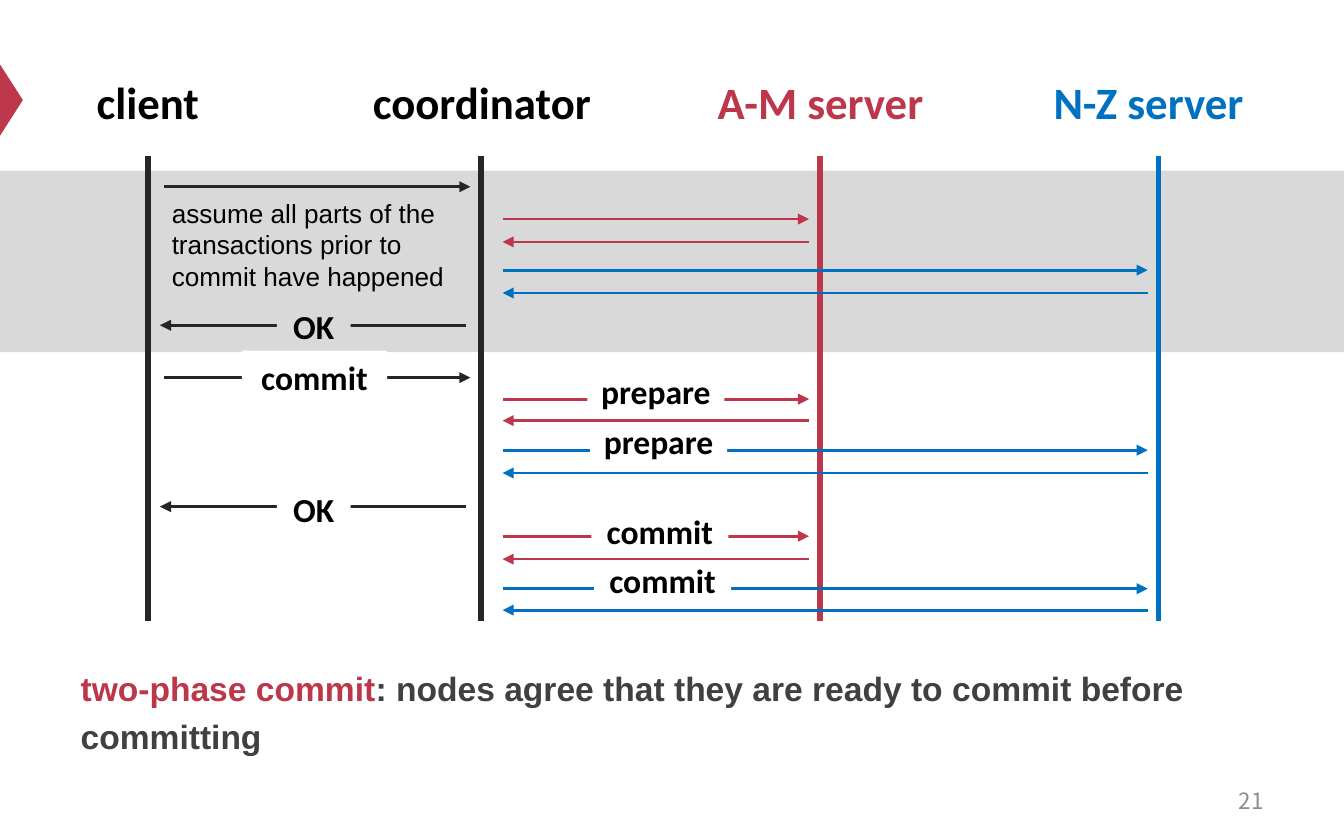
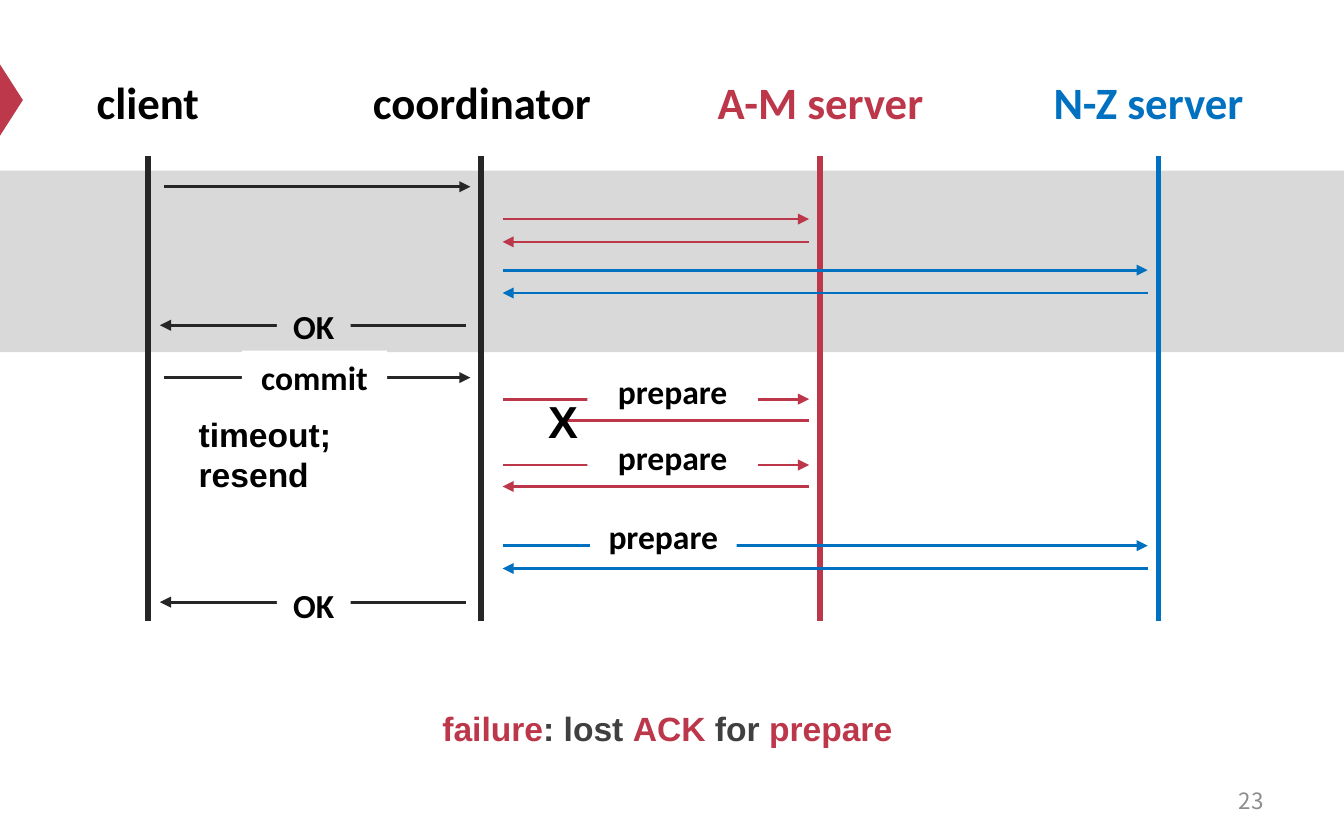
from lxml import etree
from pptx import Presentation
from pptx import util as u
from pptx.dml.color import RGBColor
from pptx.enum import shapes, text
from pptx.oxml.ns import qn

COLORS = {"dark": "262626", "red": "BD374B", "blue": "0070C0", "black": "000000",
          "body": "404040", "band": "D9D9D9", "white": "FFFFFF",
          "marker": "BE384B", "number": "8C8C8C"}
CENTER, LEFT, RIGHT = text.PP_ALIGN.CENTER, text.PP_ALIGN.LEFT, text.PP_ALIGN.RIGHT

# lifelines: name, colour of name, colour of line, x of line, text left, text width
ACTORS = [("client", "black", "dark", 1.1, 0.51, 1.18),
          ("coordinator", "black", "dark", 3.58, 2.56, 2.05),
          ("A-M server", "red", "red", 6.1, 5.08, 2.05),
          ("N-Z server", "blue", "blue", 8.62, 7.52, 2.05)]
LANES = {"request": (1.22, 3.5, "dark"), "answer": (1.19, 3.47, "dark"),
         "A-M": (3.74, 6.02, "red"), "N-Z": (3.74, 8.54, "blue"),
         "lost": (4.21, 6.02, "red")}

# messages: lane, arrowhead end, y, label (text, left, top, width, fill)
BEFORE_COMMIT = [
    ("request", "tailEnd", 1.39, None),
    ("A-M", "tailEnd", 1.63, None),
    ("A-M", "headEnd", 1.8, None),
    ("N-Z", "tailEnd", 2.01, None),
    ("N-Z", "headEnd", 2.18, None),
    ("answer", "headEnd", 2.42, ("OK", 2.06, 2.23, 0.55, "band")),
    ("request", "tailEnd", 2.81, ("commit", 1.8, 2.61, 1.08, "white")),
]
SLIDES = [
    {"number": "21",
     "caption": [("two-phase commit", "red"),
                 (": nodes agree that they are ready to commit before committing", "body")],
     "caption_format": (4.86, 1.18, LEFT, 12, 1.2),
     "messages": [
         ("A-M", "tailEnd", 2.97, ("prepare", 4.37, 2.71, 1.02, "white")),
         ("N-Z", "tailEnd", 3.35, ("prepare", 4.39, 3.08, 1.02, "white")),
         ("A-M", "headEnd", 3.13, None),
         ("N-Z", "headEnd", 3.52, None),
         ("answer", "headEnd", 3.77, ("OK", 2.06, 3.59, 0.55, "white")),
         ("A-M", "tailEnd", 3.99, ("commit", 4.4, 3.75, 1.02, "white")),
         ("N-Z", "tailEnd", 4.38, ("commit", 4.42, 4.12, 1.02, "white")),
         ("A-M", "headEnd", 4.16, None),
         ("N-Z", "headEnd", 4.54, None)],
     # notes: text, box, size, bold, wrap
     "notes": [("assume all parts of the transactions prior to\ncommit have happened",
                (1.18, 1.42, 2.4, 0.81), 14, False, True)]},
    {"number": "23",
     "caption": [("failure", "red"), (": lost ", "body"), ("ACK ", "red"),
                 ("for ", "body"), ("prepare ", "red")],
     "caption_format": (5.22, 0.68, CENTER, 13.7, 1.0),
     "messages": [
         ("A-M", "tailEnd", 2.97, ("prepare", 4.37, 2.71, 1.27, "white")),
         ("lost", None, 3.13, None),
         ("A-M", "tailEnd", 3.46, ("prepare", 4.37, 3.2, 1.27, "white")),
         ("A-M", "headEnd", 3.62, None),
         ("N-Z", "tailEnd", 4.06, ("prepare", 4.39, 3.79, 1.09, "white")),
         ("N-Z", "headEnd", 4.23, None),
         ("answer", "headEnd", 4.48, ("OK", 2.06, 4.3, 0.55, "white"))],
     "notes": [("timeout; resend", (1.38, 3.03, 1.9, 0.4), 18, True, True),
               ("X", (3.98, 2.88, 0.52, 0.5), 24, True, False)]},
]


def add_text(s, words, box, size, color="black", font="Calibri", bold=True,
             align=CENTER, fill=None, wrap=True):
    tb = s.shapes.add_textbox(*map(u.Inches, box))
    if fill:
        tb.fill.solid()
        tb.fill.fore_color.rgb = RGBColor.from_string(COLORS[fill])
    tf = tb.text_frame
    tf.text = words
    tf.word_wrap = wrap
    tf.auto_size = text.MSO_AUTO_SIZE.SHAPE_TO_FIT_TEXT
    for p in tf.paragraphs:
        p.alignment = align
        f = p.runs[0].font
        f.size, f.name, f.bold = u.Pt(size), font, bold
        f.color.rgb = RGBColor.from_string(COLORS[color])
    return tf


def add_line(s, x1, y1, x2, y2, color, width, arrow=None):
    """Draw a line; arrow is None or the end with a head, headEnd or tailEnd."""
    c = s.shapes.add_connector(shapes.MSO_CONNECTOR.STRAIGHT,
                               *map(u.Inches, (x1, y1, x2, y2)))
    c.line.color.rgb = RGBColor.from_string(COLORS[color])
    c.line.width = u.Pt(width)
    spPr = c._element.spPr
    if arrow:
        etree.SubElement(spPr.find(qn("a:ln")), qn("a:" + arrow), type="triangle")
    etree.SubElement(spPr, qn("a:effectLst"))


prs = Presentation()
prs.slide_width, prs.slide_height = u.Inches(10), u.Inches(6.25)

for content in SLIDES:
    s = prs.slides.add_slide(prs.slide_layouts[1])
    title = s.shapes.title._element
    title.getparent().remove(title)

    # caption
    top, height, align, before, spacing = content["caption_format"]
    body = s.placeholders[1]
    body.left, body.top = u.Inches(0.5), u.Inches(top)
    body.width, body.height = u.Inches(9), u.Inches(height)
    tf = body.text_frame
    tf.auto_size = text.MSO_AUTO_SIZE.NONE
    tf.vertical_anchor = text.MSO_ANCHOR.TOP
    p = tf.paragraphs[0]
    p.alignment, p.space_before, p.line_spacing = align, u.Pt(before), spacing
    pPr = p._p.get_or_add_pPr()
    pPr.set("marL", "0")
    pPr.set("indent", "0")
    etree.SubElement(pPr, qn("a:buNone"))
    for words, color in content["caption"]:
        r = p.add_run()
        r.text = words
        r.font.size, r.font.name, r.font.bold = u.Pt(18), "Arial", True
        r.font.color.rgb = RGBColor.from_string(COLORS[color])

    # edge marker and band behind the steps before commit
    for kind, box, color, rotation in [
            (shapes.MSO_SHAPE.ISOSCELES_TRIANGLE, (-0.18, 0.66, 0.53, 0.17), "marker", 90),
            (shapes.MSO_SHAPE.RECTANGLE, (0, 1.27, 10, 1.35), "band", 0)]:
        sp = s.shapes.add_shape(kind, *map(u.Inches, box))
        sp.rotation = rotation
        sp.shadow.inherit = False
        sp.fill.solid()
        sp.fill.fore_color.rgb = RGBColor.from_string(COLORS[color])
        sp.line.fill.background()

    # page number
    tf = add_text(s, content["number"], (7.17, 5.79, 2.33, 0.33), 12, "number",
                  "Noto Sans CJK SC", False, RIGHT)
    tf.auto_size = text.MSO_AUTO_SIZE.NONE
    tf.vertical_anchor = text.MSO_ANCHOR.MIDDLE

    for name, name_color, line_color, x, left, width in ACTORS:
        add_text(s, name, (left, 0.51, width, 0.5), 24, name_color)
        add_line(s, x, 1.16, x, 4.62, line_color, 3)

    for lane, arrow, y, label in BEFORE_COMMIT + content["messages"]:
        x1, x2, color = LANES[lane]
        add_line(s, x1, y, x2, y, color, 1.5, arrow)
        if label:
            words, left, top, width, fill = label
            add_text(s, words, (left, top, width, 0.4), 18, fill=fill)

    for words, box, size, bold, wrap in content["notes"]:
        add_text(s, words, box, size, font="Arial", bold=bold, align=LEFT, wrap=wrap)

prs.save("out.pptx")
